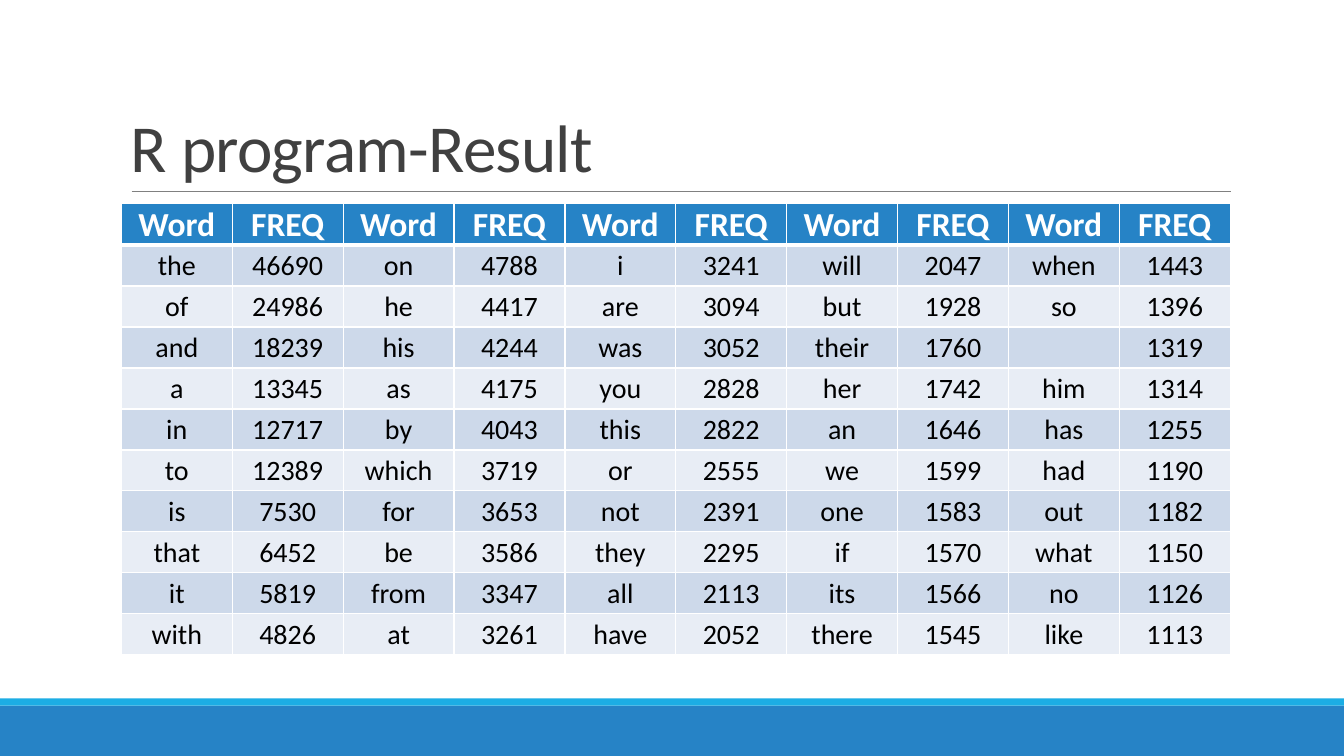
"""Build the word frequency slide."""
from lxml import etree
from pptx import Presentation
from pptx import util as u
from pptx.dml.color import RGBColor
from pptx.enum import shapes, text
from pptx.oxml import ns

WHITE = RGBColor(0xFF, 0xFF, 0xFF)
BLACK = RGBColor(0, 0, 0)
DARK = RGBColor(0x40, 0x40, 0x40)
GREY = RGBColor(0x80, 0x80, 0x80)
BLUE = RGBColor(0x26, 0x83, 0xC6)
CYAN = RGBColor(0x1C, 0xAD, 0xE4)
ODD = RGBColor(0xCD, 0xD9, 0xEA)
EVEN = RGBColor(0xE8, 0xED, 0xF5)

HEAD = ["Word", "FREQ"] * 5
ROWS = [line.split(",") for line in (
    "the,46690,on,4788,i,3241,will,2047,when,1443",
    "of,24986,he,4417,are,3094,but,1928,so,1396",
    "and,18239,his,4244,was,3052,their,1760,,1319",
    "a,13345,as,4175,you,2828,her,1742,him,1314",
    "in,12717,by,4043,this,2822,an,1646,has,1255",
    "to,12389,which,3719,or,2555,we,1599,had,1190",
    "is,7530,for,3653,not,2391,one,1583,out,1182",
    "that,6452,be,3586,they,2295,if,1570,what,1150",
    "it,5819,from,3347,all,2113,its,1566,no,1126",
    "with,4826,at,3261,have,2052,there,1545,like,1113",
)]


def write(frame, words, font="Calibri", size=20, color=BLACK, bold=False,
          align=text.PP_ALIGN.LEFT, lead=None, track=None):
    para = frame.paragraphs[0]
    para.alignment = align
    if lead:
        para.line_spacing = lead
    if not words:
        return
    run = para.add_run()
    run.text = words
    run.font.name = font
    run.font.size = u.Pt(size)
    run.font.bold = bold
    run.font.color.rgb = color
    if track:
        run.font._element.set("spc", str(round(track * 100)))


def edge(cell, side, width):
    props = cell._tc.get_or_add_tcPr()
    line = etree.SubElement(props, ns.qn("a:ln" + side), w=str(u.Pt(width)))
    fill = etree.SubElement(line, ns.qn("a:solidFill"))
    etree.SubElement(fill, ns.qn("a:srgbClr"), val=str(WHITE))


class Page:
    def __init__(self, slide, font="Calibri"):
        self.slide = slide
        self.font = font

    def bar(self, x, y, w, h, color):
        box = self.slide.shapes.add_shape(
            shapes.MSO_SHAPE.RECTANGLE, u.Pt(x), u.Pt(y), u.Pt(w), u.Pt(h))
        box.shadow.inherit = False
        box.fill.solid()
        box.fill.fore_color.rgb = color
        box.line.fill.background()

    def rule(self, x, y, end, color, width):
        line = self.slide.shapes.add_connector(
            shapes.MSO_CONNECTOR.STRAIGHT, u.Pt(x), u.Pt(y), u.Pt(end), u.Pt(y))
        line.line.color.rgb = color
        line.line.width = u.Pt(width)
        etree.SubElement(line._element.spPr, ns.qn("a:effectLst"))

    def title(self, x, y, w, h, words):
        frame = self.slide.shapes.add_textbox(
            u.Pt(x), u.Pt(y), u.Pt(w), u.Pt(h)).text_frame
        frame.word_wrap = True
        frame.vertical_anchor = text.MSO_ANCHOR.BOTTOM
        write(frame, words, font=self.font, size=48, color=DARK,
              lead=0.85, track=-0.5)

    def table(self, x, y, w, h, rows):
        grid = self.slide.shapes.add_table(
            len(rows), len(rows[0]), u.Pt(x), u.Pt(y), u.Pt(w), u.Pt(h)).table
        for r, row in enumerate(rows):
            grid.rows[r].height = u.Pt(h / len(rows))
            for c, words in enumerate(row):
                self.cell(grid.cell(r, c), r, words)

    def cell(self, cell, row, words):
        head = row == 0
        for side in "LRTB":
            thick = (row, side) in ((0, "B"), (1, "T"))
            edge(cell, side, 3 if thick else 1)
        cell.fill.solid()
        cell.fill.fore_color.rgb = BLUE if head else ODD if row % 2 else EVEN
        cell.margin_left = cell.margin_right = cell.margin_top = u.Pt(0.7)
        cell.margin_bottom = 0
        cell.vertical_anchor = text.MSO_ANCHOR.MIDDLE
        write(cell.text_frame, words, font=self.font, size=24 if head else 20,
              color=WHITE if head else BLACK, bold=head,
              align=text.PP_ALIGN.CENTER)


def main():
    deck = Presentation()
    deck.slide_width, deck.slide_height = u.Pt(960), u.Pt(540)
    page = Page(deck.slides.add_slide(deck.slide_layouts[6]))
    page.bar(0, 504, 960, 36, BLUE)
    page.bar(0, 498.8, 960, 5.2, CYAN)
    page.rule(94, 136.8, 879, GREY, 0.5)
    page.title(86.4, 22.5, 792, 114.2, "R program-Result")
    page.table(86.7, 145.6, 792, 321.9, [HEAD] + ROWS)
    deck.save("out.pptx")


if __name__ == "__main__":
    main()
